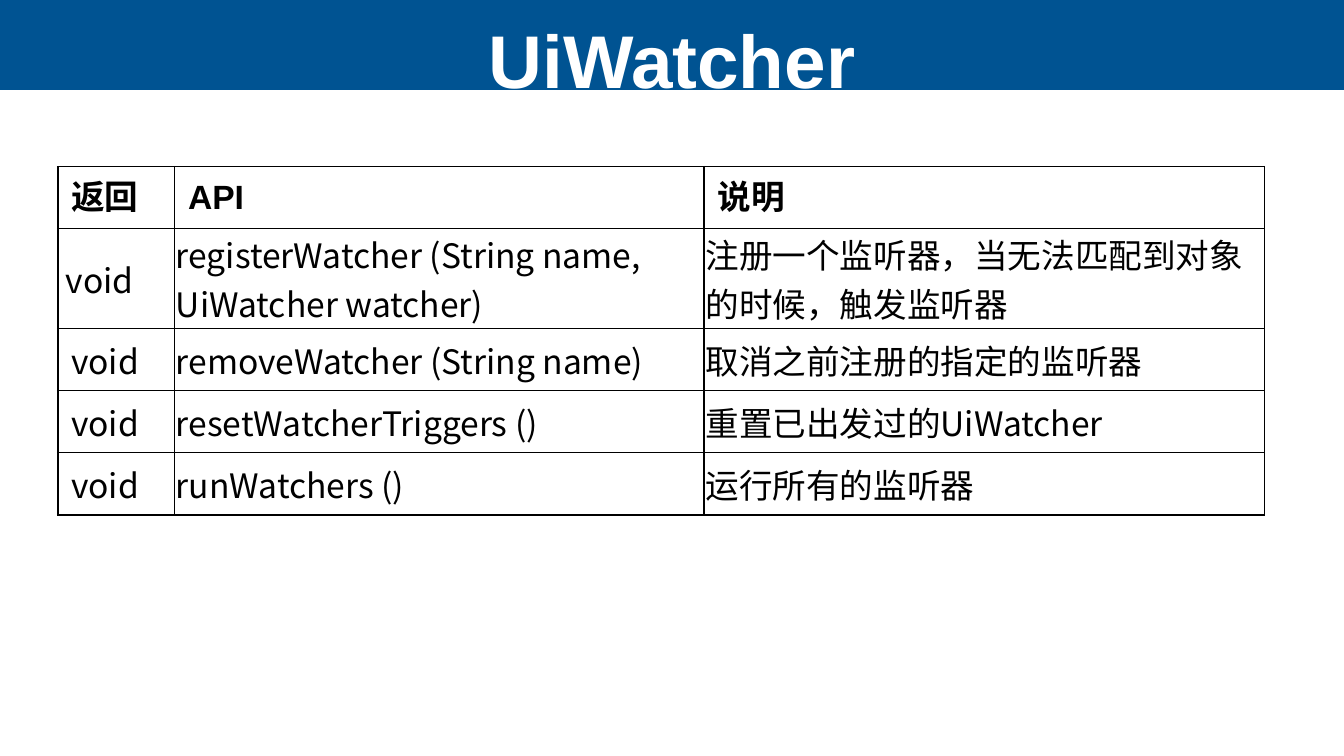
from lxml import etree
from pptx import Presentation
from pptx.dml.color import RGBColor
from pptx.enum.shapes import MSO_SHAPE
from pptx.enum.text import MSO_ANCHOR, MSO_AUTO_SIZE, PP_ALIGN
from pptx.oxml.ns import qn
from pptx.util import Inches, Pt

RECT = MSO_SHAPE.RECTANGLE
TOP, MIDDLE = MSO_ANCHOR.TOP, MSO_ANCHOR.MIDDLE
CENTER = PP_ALIGN.CENTER
NO_FIT = MSO_AUTO_SIZE.NONE

TITLE = "UiWatcher"
ROWS = [
    ("返回", "API", "说明"),
    ("void", "registerWatcher (String name, UiWatcher watcher)",
     "注册一个监听器，当无法匹配到对象的时候，触发监听器"),
    ("void", "removeWatcher (String name)", "取消之前注册的指定的监听器"),
    ("void", "resetWatcherTriggers ()", "重置已出发过的UiWatcher"),
    ("void", "runWatchers ()", "运行所有的监听器"),
]
COLS = [0.87, 3.94, 4.17]
HEAD_H, ROW_H = 0.46, 0.41
THEME = {
    "bar": "005392", "line": "000000", "rule": 1,
    "title": {"name": "Arial", "size": Pt(40), "bold": True, "color": "FFFFFF"},
    "head": {"name": "Arial", "size": Pt(18), "bold": True, "color": "000000"},
    "body": {"name": "Noto Sans CJK SC", "size": Pt(18), "bold": False,
             "color": "000000"},
}
SIDES = ("left", "top", "right", "bottom")
WIDE = dict(zip(SIDES, (0.1, 0.05, 0.1, 0.05)))
TIGHT = dict.fromkeys(SIDES, 0.01)
FLUSH = dict.fromkeys(SIDES, 0)


def put(run, style):
    """Apply a theme text style to a run, East Asian font included."""
    for key, value in style.items():
        if key == "color":
            run.font.color.rgb = RGBColor.from_string(value)
        else:
            setattr(run.font, key, value)
    etree.SubElement(run._r.get_or_add_rPr(), qn("a:ea"), typeface=style["name"])


def pad(item, gaps):
    for side, gap in gaps.items():
        setattr(item, f"margin_{side}", Inches(gap))


def frame(cell):
    """Draw all four borders of a cell."""
    props = cell._tc.get_or_add_tcPr()
    for side in "LRTB":
        line = etree.SubElement(props, qn(f"a:ln{side}"), w=str(Pt(THEME["rule"])))
        fill = etree.SubElement(line, qn("a:solidFill"))
        etree.SubElement(fill, qn("a:srgbClr"), val=THEME["line"])


def add_title(slide):
    title = slide.shapes.title
    title.left, title.top = Inches(0), Inches(0.1)
    title.width, title.height = Inches(10), Inches(0.46)
    text = title.text_frame
    text.text = TITLE
    text.auto_size, text.vertical_anchor = NO_FIT, TOP
    pad(text, FLUSH)
    text.paragraphs[0].alignment = CENTER
    put(text.paragraphs[0].runs[0], THEME["title"])

    bar = slide.shapes.add_shape(RECT, 0, 0, Inches(10), Inches(0.67))
    bar.shadow.inherit = False
    bar.fill.solid()
    bar.fill.fore_color.rgb = RGBColor.from_string(THEME["bar"])
    bar.line.fill.background()
    title.element.addprevious(bar.element)


def add_grid(slide):
    highs = [HEAD_H] + [ROW_H] * (len(ROWS) - 1)
    table = slide.shapes.add_table(
        len(ROWS), len(COLS), Inches(0.43), Inches(1.24),
        Inches(sum(COLS)), Inches(sum(highs))).table
    table.first_row = table.horz_banding = False
    for col, width in zip(table.columns, COLS):
        col.width = Inches(width)
    for r, (row, high) in enumerate(zip(ROWS, highs)):
        table.rows[r].height = Inches(high)
        for c, text in enumerate(row):
            cell = table.cell(r, c)
            cell.text = text
            cell.vertical_anchor = MIDDLE
            pad(cell, TIGHT if r and (c or r == 1) else WIDE)
            if (r, c) == (1, 0):
                cell.margin_left = Inches(0.06)
            frame(cell)
            cell.fill.background()
            put(cell.text_frame.paragraphs[0].runs[0],
                THEME["body" if r else "head"])


def main():
    deck = Presentation()
    deck.slide_width = Inches(10)
    deck.slide_height = deck.slide_width * 9 // 16
    slide = deck.slides.add_slide(deck.slide_layouts[5])
    add_title(slide)
    add_grid(slide)
    deck.save("out.pptx")


if __name__ == "__main__":
    main()
